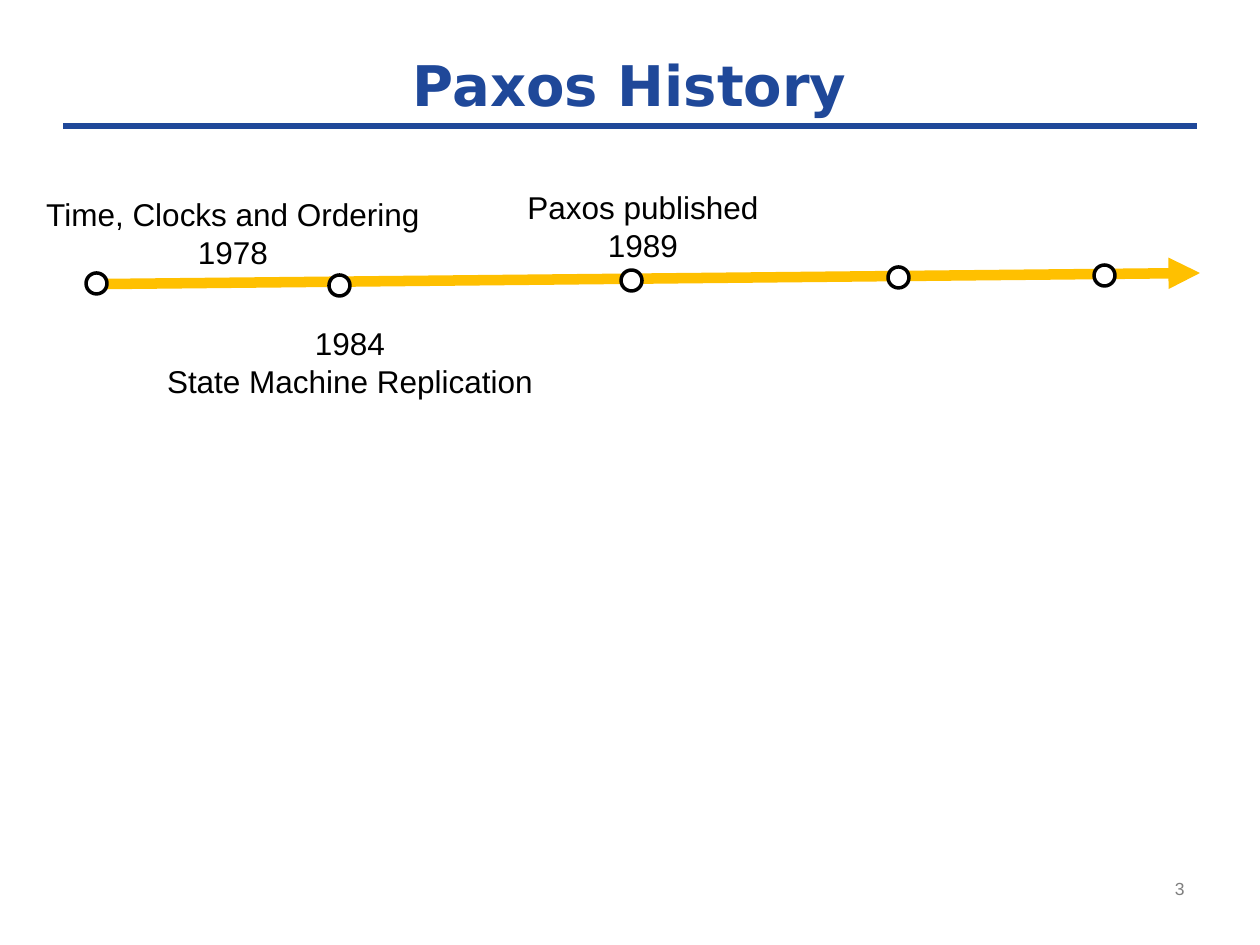
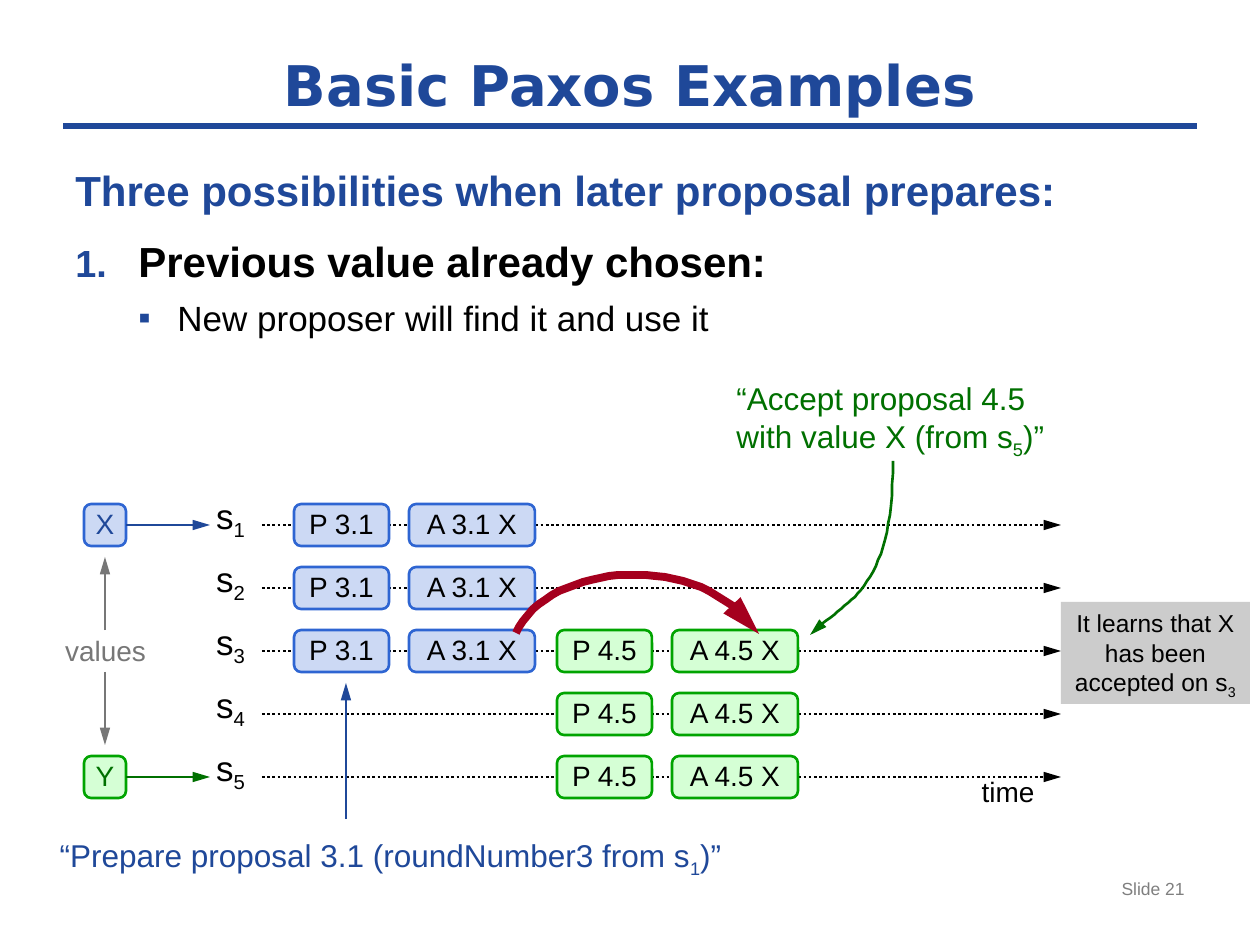
from lxml import etree
from pptx import Presentation
from pptx import util as u
from pptx.dml.color import RGBColor
from pptx.enum import dml, shapes, text
from pptx.oxml import ns

PX = 914400 / 126
NAVY = RGBColor(0x1F, 0x48, 0x99)
BLUE = RGBColor(0x2E, 0x65, 0xD2)
PALE_BLUE = RGBColor(0xCC, 0xD9, 0xF4)
GREEN = RGBColor(0x00, 0xA4, 0x00)
PALE_GREEN = RGBColor(0xD5, 0xFF, 0xD5)
DARK_GREEN = RGBColor(0x00, 0x70, 0x00)
RED = RGBColor(0xA5, 0x00, 0x1E)
GOLD = RGBColor(0xFF, 0xC0, 0x00)
BLACK = RGBColor(0, 0, 0)
WHITE = RGBColor(0xFF, 0xFF, 0xFF)
GRAY = RGBColor(0x77, 0x77, 0x77)
FOOTER_GRAY = RGBColor(0x7F, 0x7F, 0x7F)
LIGHT_GRAY = RGBColor(0xCC, 0xCC, 0xCC)
BODY_FONT, TITLE_FONT = "Arial", "DejaVu Sans"
LEFT, CENTER, RIGHT = text.PP_ALIGN.LEFT, text.PP_ALIGN.CENTER, text.PP_ALIGN.RIGHT
SHAPE = shapes.MSO_SHAPE


def emu(*lengths):
    return [u.Emu(round(length * PX)) for length in lengths]


def add_xml(parent, tag, **attributes):
    return etree.SubElement(parent, ns.qn(tag), **attributes)


def write(para, words, size=18, color=BLACK, font=BODY_FONT, bold=False,
          align=LEFT, spacing=None, before=0):
    """Text between tildes is set as a subscript."""
    para.alignment = align
    para.space_before = u.Pt(before)
    if spacing:
        para.line_spacing = spacing
    for index, piece in enumerate(words.split("~")):
        for number, line in enumerate(piece.split("\n")):
            if number:
                para.add_line_break()
            span = para.add_run()
            span.text = line
            span.font.size = u.Pt(size)
            span.font.name = font
            span.font.bold = bold
            span.font.color.rgb = color
            if index % 2:
                span.font._element.set("baseline", "-25000")


def fill_frame(frame, lines, inset=None, anchor=text.MSO_ANCHOR.TOP, **style):
    frame.word_wrap = True
    frame.auto_size = text.MSO_AUTO_SIZE.NONE
    frame.vertical_anchor = anchor
    if inset is not None:
        frame.margin_left = frame.margin_right = inset
        frame.margin_top = frame.margin_bottom = inset
    for index, line in enumerate(lines):
        para = frame.add_paragraph() if index else frame.paragraphs[0]
        write(para, line, **style)


def add_text(page, box, *lines, **style):
    fill_frame(page.shapes.add_textbox(*emu(*box)).text_frame, lines, **style)


def add_block(page, kind, box, fill, line=None, width=1.5):
    block = page.shapes.add_shape(kind, *emu(*box))
    block.shadow.inherit = False
    block.fill.solid()
    block.fill.fore_color.rgb = fill
    if line is None:
        block.line.fill.background()
    else:
        block.line.color.rgb = line
        block.line.width = u.Pt(width)
    return block


def style_line(line, color, width, head=None, dash=None):
    line.color.rgb = color
    line.width = u.Pt(width)
    if dash:
        line.dash_style = dash
    if head:
        add_xml(line._get_or_add_ln(), "a:tailEnd", type="triangle", w="med", len=head)


def add_line(page, start, end, color, width=1.5, head="lg", dash=None):
    line = page.shapes.add_connector(shapes.MSO_CONNECTOR.STRAIGHT, *emu(*start, *end))
    style_line(line.line, color, width, head, dash)
    add_xml(line._element.spPr, "a:effectLst")


def add_curve(page, controls, color, width, steps=32):
    points = []
    for step in range(steps + 1):
        t = step / steps
        weights = ((1 - t) ** 3, 3 * t * (1 - t) ** 2, 3 * t * t * (1 - t), t ** 3)
        points.append(tuple(sum(w * point[axis] for w, point in zip(weights, controls))
                            for axis in (0, 1)))
    builder = page.shapes.build_freeform(*points[0], scale=PX)
    builder.add_line_segments(points[1:], close=False)
    curve = builder.convert_to_shape()
    curve.shadow.inherit = False
    curve.fill.background()
    style_line(curve.line, color, width, "lg")


def add_page(deck, title, footer):
    page = deck.slides.add_slide(deck.slide_layouts[5])
    add_line(page, (63, 126), (1197, 126), NAVY, 4, head=None)
    add_text(page, (903, 872, 294, 54), footer, size=10, color=FOOTER_GRAY, align=RIGHT)
    heading = page.shapes.title
    heading.left, heading.top, heading.width, heading.height = emu(63, 42, 1134, 84)
    fill_frame(heading.text_frame, [title], anchor=text.MSO_ANCHOR.MIDDLE, size=32,
               color=NAVY, font=TITLE_FONT, bold=True, align=CENTER)
    return page


def add_timeline(page, left, top):
    add_line(page, (left + 21, top + 102), (left + 1114, top + 91), GOLD, 6, head="med")
    for x, y in ((0, 91), (243, 93), (535, 88), (802, 85), (1008, 83)):
        add_block(page, SHAPE.OVAL, (left + x, top + y, 21, 21), WHITE, BLACK, 2)
    for x, y, *lines in ((-231, 7, "Time, Clocks and Ordering", "1978"),
                         (-114, 136, "1984", "State Machine Replication"),
                         (179, 0, "Paxos published", "1989")):
        add_text(page, (left + x, top + y, 756, 89), *lines, align=CENTER)


def add_bullet(para, kind, value, margin, indent, size):
    props = para._p.get_or_add_pPr()
    props.set("marL", str(emu(margin)[0]))
    props.set("indent", str(emu(-indent)[0]))
    add_xml(add_xml(props, "a:buClr"), "a:srgbClr", val=str(NAVY))
    add_xml(props, "a:buSzPct", val=str(size * 1000))
    add_xml(props, "a:buFont", typeface=BODY_FONT)
    attribute = {"type": value} if kind == "a:buAutoNum" else {"char": value}
    add_xml(props, kind, **attribute)


def add_body(page, box):
    frame = page.shapes.add_textbox(*emu(*box)).text_frame
    frame.word_wrap = True
    write(frame.paragraphs[0], "Three possibilities when later proposal prepares:",
          size=24, color=NAVY, bold=True)
    case = frame.add_paragraph()
    add_bullet(case, "a:buAutoNum", "arabicPeriod", 63, 63, 90)
    write(case, "Previous value already chosen:", size=24, bold=True, before=12)
    outcome = frame.add_paragraph()
    outcome.level = 1
    add_bullet(outcome, "a:buChar", "▪", 102, 39, 100)
    write(outcome, "New proposer will find it and use it", size=20, before=6)


def add_message(page, box, words, colors, ink=BLACK):
    message = add_block(page, SHAPE.ROUNDED_RECTANGLE, box, *colors)
    fill_frame(message.text_frame, [words], inset=0, anchor=text.MSO_ANCHOR.MIDDLE,
               size=16, color=ink, align=CENTER, spacing=u.Pt(17))


def add_servers(page, left, top, pitch=63):
    blue, green = (PALE_BLUE, BLUE), (PALE_GREEN, GREEN)
    for row in range(5):
        y = top + row * pitch
        add_line(page, (left + 178, y + 21), (left + 977, y + 21), BLACK,
                 dash=dml.MSO_LINE.ROUND_DOT)
        add_text(page, (left + 115, y - 10, 63, 43), f"s~{row + 1}~", inset=0,
                 size=20, align=CENTER)
    rounds = ((210, "3.1", blue, 0), (473, "4.5", green, 2))
    for x, proposal, colors, first in rounds:
        for row in range(first, first + 3):
            y = top + row * pitch
            add_message(page, (left + x, y, 95, 42), f"P {proposal}", colors)
            add_message(page, (left + x + 115, y, 126, 42), f"A {proposal} X", colors)
    for words, row, colors, ink in (("X", 0, blue, NAVY), ("Y", 4, green, DARK_GREEN)):
        y = top + row * pitch
        add_message(page, (left, y, 42, 42), words, colors, ink)
        add_line(page, (left + 42, y + 21), (left + 126, y + 21), ink)
    add_text(page, (left - 31, top + 130, 105, 34), "values", inset=0, size=16,
             color=GRAY, align=CENTER)
    for start, end in ((126, 53), (168, 241)):
        add_line(page, (left + 21, top + start), (left + 21, top + end), GRAY)
    add_text(page, (left + 882, top + 271, 84, 34), "time", inset=0, size=16, align=CENTER)


def add_remarks(page, left, top):
    add_text(page, (left - 103, top + 326, 819, 50),
             "“Prepare proposal 3.1 (roundNumber3 from s~1~)”", color=NAVY, align=CENTER)
    add_text(page, (left + 640, top - 131, 336, 89),
             "“Accept proposal 4.5\nwith value X (from s~5~)”", color=DARK_GREEN)
    add_line(page, (left + 262, top + 315), (left + 262, top + 179), NAVY)
    for color, width, offsets in (
            (RED, 4.5, ((432, 129), (464, 59), (616, 43), (675, 130))),
            (DARK_GREEN, 1.5, ((809, -43), (809, 92), (760, 96), (726, 131)))):
        add_curve(page, [(left + x, top + y) for x, y in offsets], color, width)
    note = add_block(page, SHAPE.RECTANGLE, (left + 977, top + 98, 189, 102), LIGHT_GRAY)
    fill_frame(note.text_frame, ["It learns that X has been accepted on s~3~"],
               size=14, align=CENTER)


def main():
    deck = Presentation()
    deck.slide_width, deck.slide_height = emu(1260, 945)
    add_timeline(add_page(deck, "Paxos History", "3"), 86, 182)
    page = add_page(deck, "Basic Paxos Examples", "Slide 21")
    add_body(page, (63, 158, 1134, 210))
    add_servers(page, 84, 504)
    add_remarks(page, 84, 504)
    deck.save("out.pptx")


if __name__ == "__main__":
    main()
